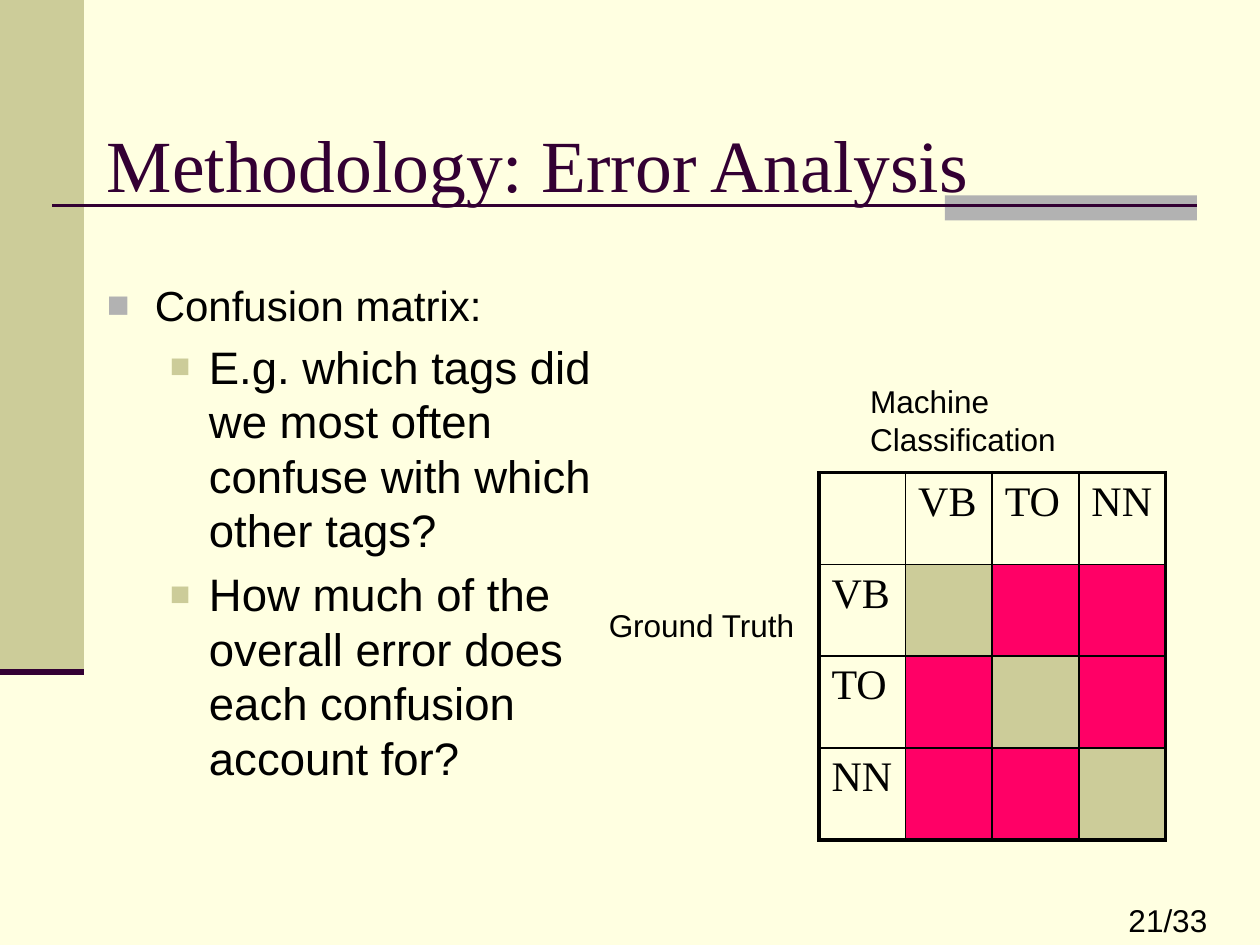
from lxml.etree import SubElement
from pptx import Presentation
from pptx.dml.color import RGBColor
from pptx.enum.shapes import MSO_CONNECTOR, MSO_SHAPE
from pptx.enum.text import MSO_ANCHOR
from pptx.oxml.ns import qn
from pptx.util import Inches, Pt

CREAM = RGBColor(0xFF, 0xFF, 0xE1)
KHAKI = RGBColor(0xCC, 0xCC, 0x99)
GREY = RGBColor(0xB2, 0xB2, 0xB2)
PLUM = RGBColor(0x33, 0x00, 0x33)
PINK = RGBColor(0xFF, 0x00, 0x66)
BLACK = RGBColor(0x00, 0x00, 0x00)
SANS, SERIF = "Arial", "Times New Roman"
COLS, ROWS = 120, 90


class Page:
    def __init__(self, deck):
        self.wide, self.high = deck.slide_width, deck.slide_height
        self.slide = deck.slides.add_slide(deck.slide_layouts[6])
        self.shapes = self.slide.shapes
        fill = self.slide.background.fill
        fill.solid()
        fill.fore_color.rgb = CREAM

    def x(self, col):
        return round(self.wide * col / COLS)

    def y(self, row):
        return round(self.high * row / ROWS)

    def area(self, col, row, wide, high):
        return self.x(col), self.y(row), self.x(wide), self.y(high)

    def block(self, area, tint):
        shape = self.shapes.add_shape(MSO_SHAPE.RECTANGLE, *self.area(*area))
        shape.shadow.inherit = False
        shape.fill.solid()
        shape.fill.fore_color.rgb = tint
        shape.line.fill.background()

    def rule(self, start, end, row, width):
        line = self.shapes.add_connector(
            MSO_CONNECTOR.STRAIGHT, self.x(start), self.y(row), self.x(end), self.y(row))
        line.line.color.rgb = PLUM
        line.line.width = Pt(width)
        SubElement(line._element.spPr, qn("a:effectLst"))

    def run(self, para, text, size, font=SANS, tint=BLACK):
        run = para.add_run()
        run.text = text
        run.font.size = Pt(size)
        run.font.name = font
        run.font.color.rgb = tint

    def frame(self, area, anchor=MSO_ANCHOR.TOP):
        frame = self.shapes.add_textbox(*self.area(*area)).text_frame
        frame.word_wrap = True
        frame.vertical_anchor = anchor
        return frame

    def label(self, area, text, size=18, font=SANS, tint=BLACK, anchor=MSO_ANCHOR.TOP):
        self.run(self.frame(area, anchor).paragraphs[0], text, size, font, tint)

    def bullet(self, para, left, hang, tint, share):
        props = para._p.get_or_add_pPr()
        props.set("marL", str(Inches(left)))
        props.set("indent", str(-Inches(hang)))
        color = SubElement(props, qn("a:buClr"))
        SubElement(color, qn("a:srgbClr"), val=str(tint))
        SubElement(props, qn("a:buSzPct"), val=str(share * 1000))
        SubElement(props, qn("a:buFont"), typeface=SANS)
        SubElement(props, qn("a:buChar"), char="■")

    def list(self, area, head, points):
        frame = self.frame(area)
        para = frame.paragraphs[0]
        self.bullet(para, 0.38, 0.38, GREY, 90)
        self.run(para, head, 24)
        for text in points:
            para = frame.add_paragraph()
            para.level = 1
            para.space_before = Pt(5.2)
            self.bullet(para, 0.81, 0.31, KHAKI, 75)
            self.run(para, text, 26)

    def edge(self, cell, side, width):
        line = SubElement(cell._tc.get_or_add_tcPr(), qn(f"a:ln{side}"), w=str(Pt(width)))
        fill = SubElement(line, qn("a:solidFill"))
        SubElement(fill, qn("a:srgbClr"), val=str(BLACK))

    def matrix(self, area, tags):
        names = ["", *tags]
        last = len(names) - 1
        table = self.shapes.add_table(last + 1, last + 1, *self.area(*area)).table
        table.first_row = table.horz_banding = False
        for row, side in enumerate(names):
            for col, top in enumerate(names):
                cell = table.cell(row, col)
                outer = {"L": col == 0, "R": col == last, "T": row == 0, "B": row == last}
                for key, thick in outer.items():
                    self.edge(cell, key, 2.25 if thick else 1)
                if row and col:
                    cell.fill.solid()
                    cell.fill.fore_color.rgb = KHAKI if row == col else PINK
                else:
                    cell.fill.background()
                    if side or top:
                        self.run(cell.text_frame.paragraphs[0], side or top, 24, SERIF)


def main():
    deck = Presentation()
    deck.slide_width, deck.slide_height = Inches(10), Inches(7.5)
    page = Page(deck)
    page.block((0, 0, 8, 64), KHAKI)
    page.block((90, 18.6, 24, 2.4), GREY)
    page.rule(5, 114, 19.6, 1.5)
    page.rule(0, 8, 64, 3.5)
    page.label((106.3, 85.2, 13.7, 4.8), "21/33")
    page.label((9, 8, 102, 15), "Methodology: Error Analysis", 42, SERIF, PLUM, MSO_ANCHOR.MIDDLE)
    page.list((9, 26, 50, 54), "Confusion matrix:", [
        "E.g. which tags did we most often confuse with which other tags?",
        "How much of the overall error does each confusion account for?",
    ])
    page.matrix((78, 45, 33, 35), ["VB", "TO", "NN"])
    page.label((81.7, 35.8, 26.4, 8.5), "Machine Classification")
    page.label((56.8, 57.1, 26.4, 4.8), "Ground Truth")
    deck.save("out.pptx")


if __name__ == "__main__":
    main()
